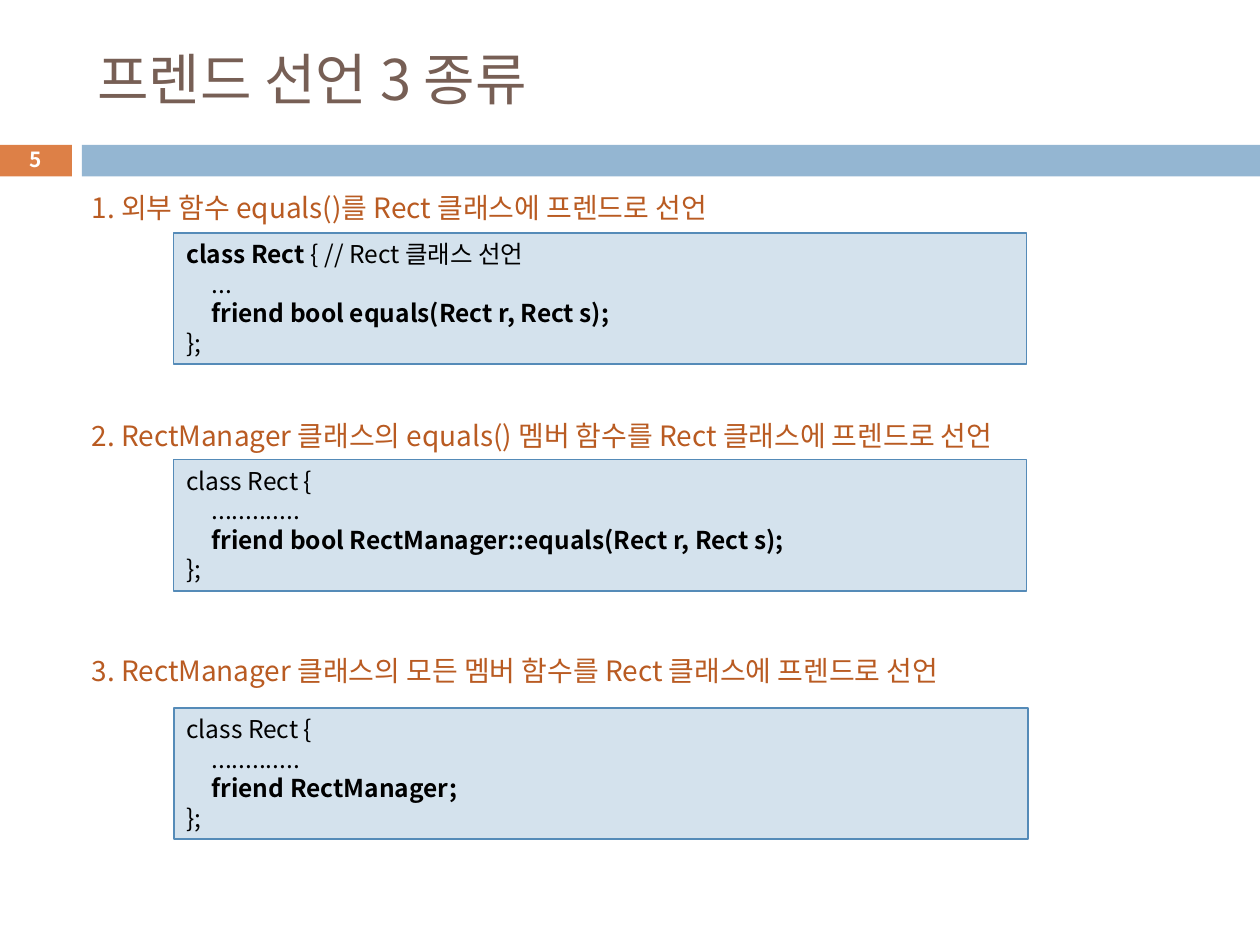
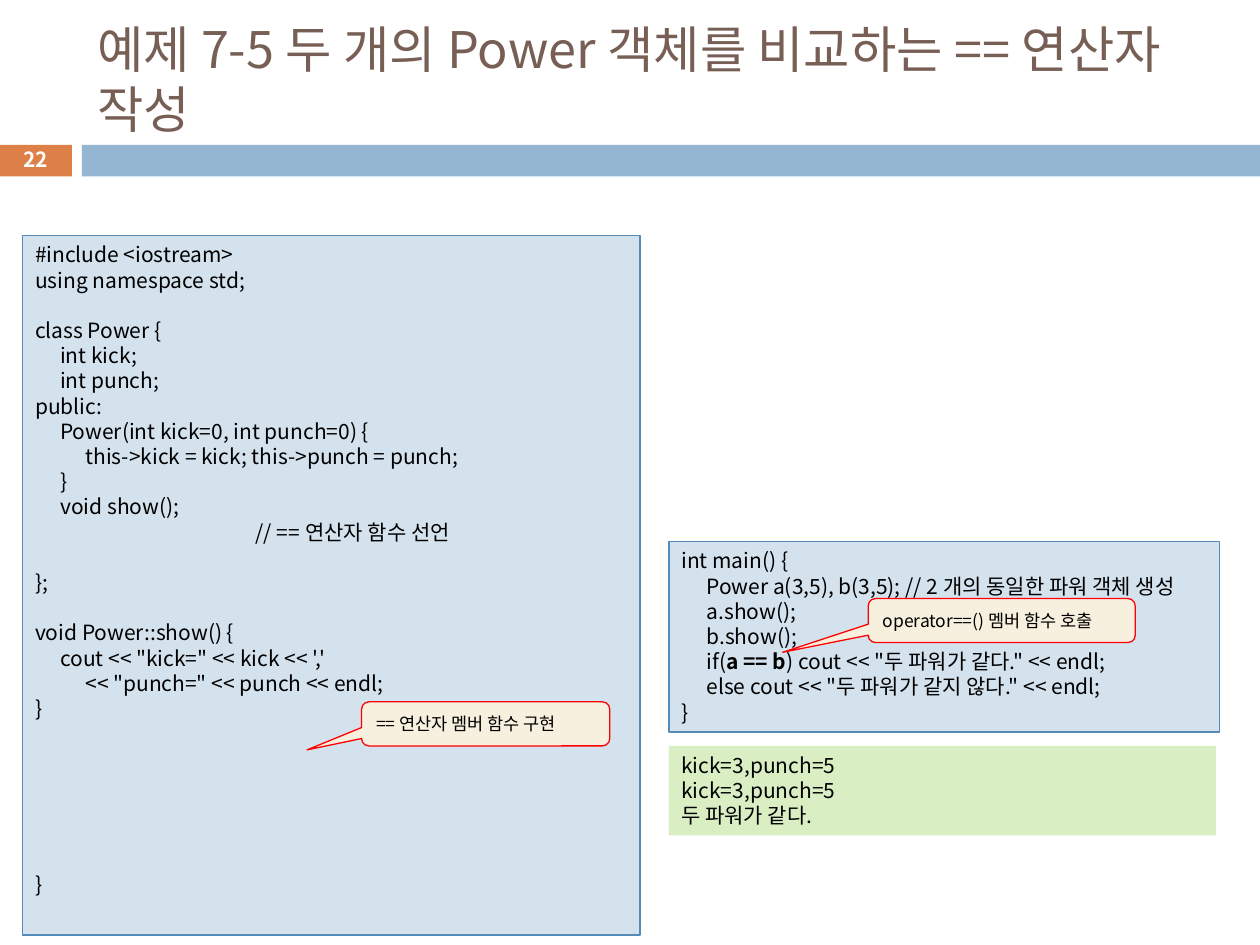
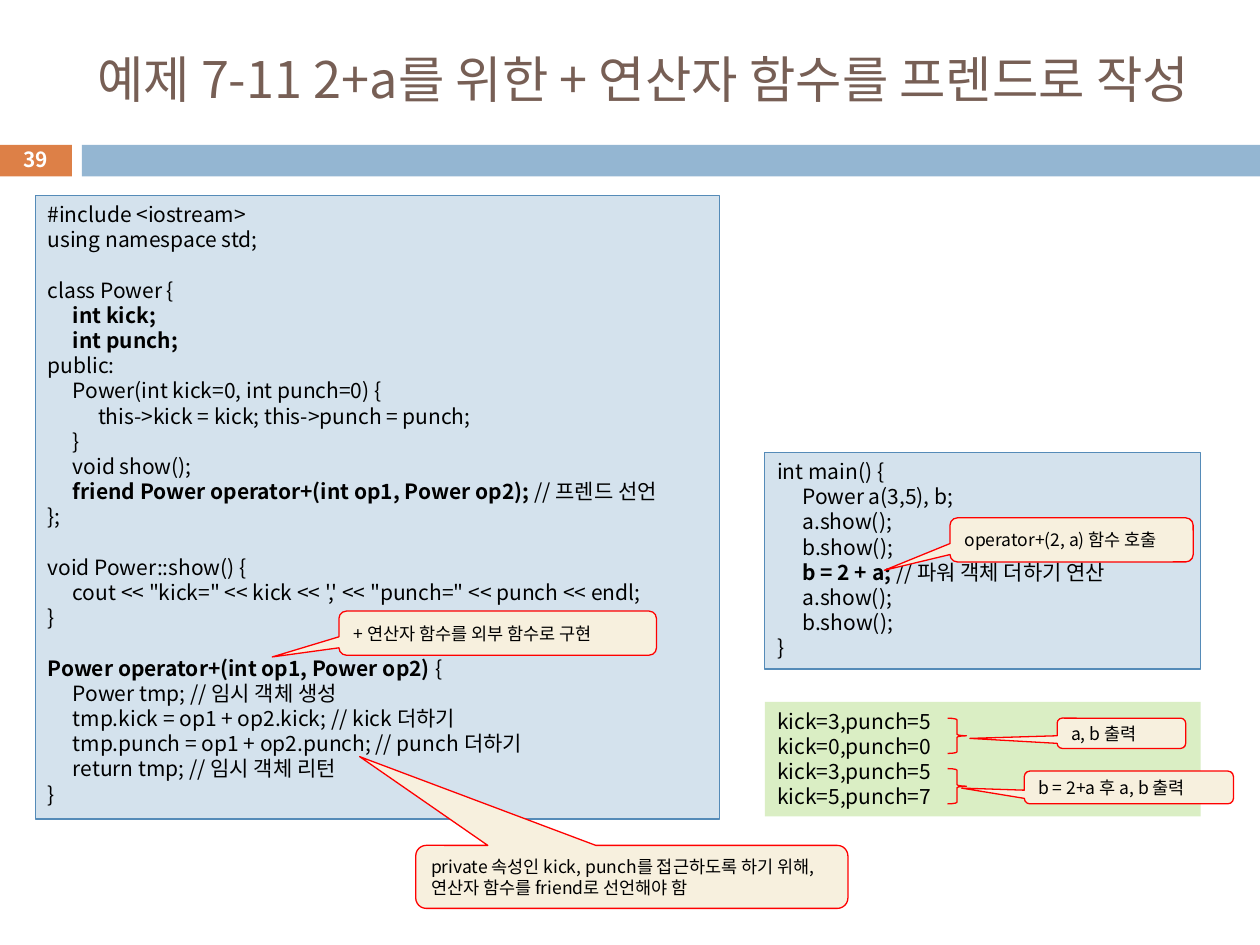
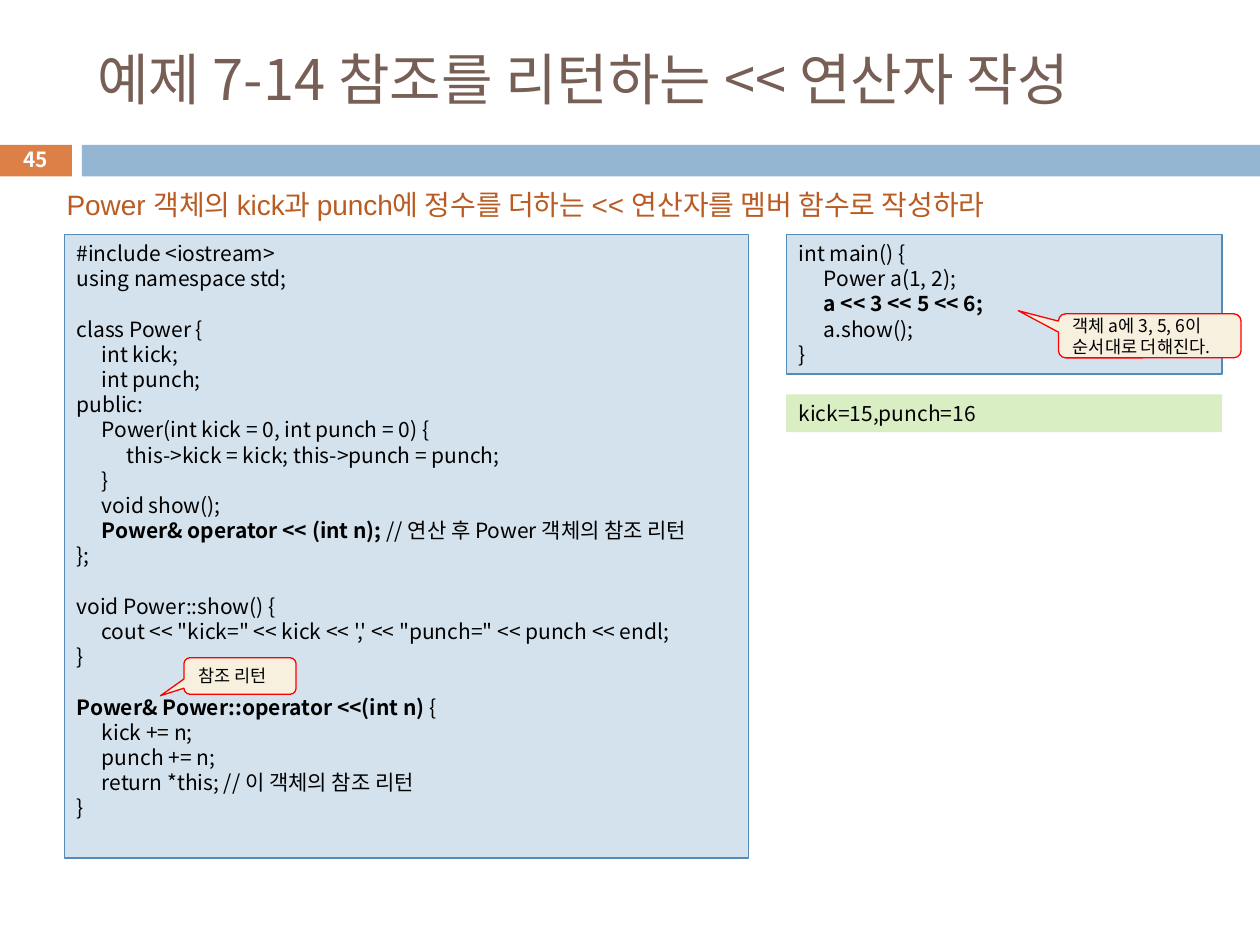
from lxml import etree
from pptx import Presentation
from pptx.dml.color import RGBColor
from pptx.enum.shapes import MSO_SHAPE
from pptx.enum.text import MSO_ANCHOR, MSO_AUTO_SIZE, PP_ALIGN
from pptx.oxml.ns import qn
from pptx.util import Inches, Pt

RECT, CALLOUT, BRACE = MSO_SHAPE.RECTANGLE, MSO_SHAPE.ROUNDED_RECTANGULAR_CALLOUT, MSO_SHAPE.RIGHT_BRACE
TOP, MIDDLE = MSO_ANCHOR.TOP, MSO_ANCHOR.MIDDLE
LEFT, CENTER = PP_ALIGN.LEFT, PP_ALIGN.CENTER

FONT = "Noto Sans CJK KR"
LINE_HEIGHT = 1.2
TAB = 0.2
TITLE_ONLY = 5
COLORS = {
    "title": "775F55", "heading": "B95B22", "text": "000000", "white": "FFFFFF",
    "number_band": "DD8047", "title_band": "94B6D2",
    "code": "D4E2ED", "code_line": "558BB8", "output": "DAEEC4",
    "callout": "F7F0DE", "red": "FF0000",
}
TITLE_AREA = (0.67, 0.25, 8.92, 0.74)
NUMBER_AREA = (-0.01, 1.13, 0.58, 0.27)
BANDS = [("number_band", (-0.01, 1.15, 0.58, 0.25)), ("title_band", (0.65, 1.15, 9.35, 0.25))]


def rect_code(friend, first="class Rect {", dots="............."):
    return f"{first}\n\t{dots}\n\t**{friend}**\n}};"


def power_code(declaration, show, operator, fields=("int kick;", "int punch;"), zero="=0"):
    """Listing of class Power; ** marks bold, a tab is one indent level."""
    kick, punch = fields
    return f"""#include <iostream>
using namespace std;

class Power {{
\t{kick}
\t{punch}
public:
\tPower(int kick{zero}, int punch{zero}) {{
\t\tthis->kick = kick; this->punch = punch;
\t}}
\tvoid show();
{declaration}
}};

void Power::show() {{
\tcout << "kick=" << kick << ','{show}<< "punch=" << punch << endl;
}}
{operator}"""


COMPARE_CODE = power_code(
    " " * 47 + "// == 연산자 함수 선언\n", "\n\t\t", "\n" * 6 + "}")

COMPARE_MAIN = """int main() {
\tPower a(3,5), b(3,5); // 2 개의 동일한 파워 객체 생성
\ta.show();
\tb.show();
\tif(**a == b**) cout << "두 파워가 같다." << endl;
\telse cout << "두 파워가 같지 않다." << endl;
}"""

ADD_CODE = power_code(
    "\t**friend Power operator+(int op1, Power op2); **// 프렌드 선언", " ", """
**Power operator+(int op1, Power op2) **{
\tPower tmp; // 임시 객체 생성
\ttmp.kick = op1 + op2.kick; // kick 더하기
\ttmp.punch = op1 + op2.punch; // punch 더하기
\treturn tmp; // 임시 객체 리턴
}""", fields=("**int kick;**", "**int punch;**"))

ADD_MAIN = """int main() {
\tPower a(3,5), b;
\ta.show();
\tb.show();
\t**b = 2 + a; **// 파워 객체 더하기 연산
\ta.show();
\tb.show();
}"""

SHIFT_CODE = power_code(
    "\t**Power& operator << (int n); **// 연산 후 Power 객체의 참조 리턴", " ", """
**Power& Power::operator <<(int n) **{
\tkick += n;
\tpunch += n;
\treturn *this; // 이 객체의 참조 리턴
}""", zero=" = 0")

SHIFT_MAIN = """int main() {
\tPower a(1, 2);
\t**a << 3 << 5 << 6;**
\ta.show();
}"""

# Areas are left, top, width, height; a callout adds the offset of its tip
# from its centre, as shares of its width and height.
SLIDES = [
    {
        "title": "프렌드 선언 3 종류", "number": 5, "code_size": 14,
        "headings": [
            ("1. 외부 함수 equals()를 Rect 클래스에 프렌드로 선언", (0.63, 1.46, 5.52, 0.37), FONT),
            ("2. RectManager 클래스의 equals() 멤버 함수를 Rect 클래스에 프렌드로 선언",
             (0.63, 3.27, 7.92, 0.37), FONT),
            ("3. RectManager 클래스의 모든 멤버 함수를 Rect 클래스에 프렌드로 선언",
             (0.63, 5.14, 7.57, 0.37), FONT),
        ],
        "code": [
            (rect_code("friend bool equals(Rect r, Rect s);",
                       "**class Rect **{ // Rect 클래스 선언", "..."), (1.38, 1.85, 6.77, 1.04)),
            (rect_code("friend bool RectManager::equals(Rect r, Rect s);"), (1.38, 3.65, 6.77, 1.04)),
            (rect_code("friend RectManager;"), (1.38, 5.62, 6.78, 1.04)),
        ],
    },
    {
        "title": "예제 7-5 두 개의 Power 객체를 비교하는 == 연산자 작성", "number": 22, "title_size": 28.8,
        "code": [(COMPARE_CODE, (0.18, 1.87, 4.9, 5.55)), (COMPARE_MAIN, (5.31, 4.3, 4.37, 1.51))],
        "output": [("kick=3,punch=5\nkick=3,punch=5\n두 파워가 같다.", (5.31, 5.92, 4.34, 0.71))],
        "callouts": [
            ("== 연산자 멤버 함수 구현", (2.87, 5.57, 1.97, 0.35), (-0.72, 0.59)),
            ("operator==() 멤버 함수 호출", (6.89, 4.75, 2.12, 0.35), (-0.82, 0.72)),
        ],
    },
    {
        "title": "예제 7-11 2+a를 위한 + 연산자 함수를 프렌드로 작성", "number": 39, "title_size": 28.8,
        "code": [(ADD_CODE, (0.28, 1.55, 5.43, 4.95)), (ADD_MAIN, (6.07, 3.59, 3.46, 1.72))],
        "output": [("kick=3,punch=5\nkick=0,punch=0\nkick=3,punch=5\nkick=5,punch=7",
                    (6.07, 5.57, 3.46, 0.91))],
        "callouts": [
            ("+ 연산자 함수를 외부 함수로 구현", (2.69, 4.85, 2.52, 0.35), (-0.71, 0.54)),
            ("private 속성인 kick, punch를 접근하도록 하기 위해, 연산자 함수를 friend로 선언해야 함",
             (3.3, 6.71, 3.43, 0.5), (-0.63, -1.91)),
            ("a, b 출력", (8.39, 5.7, 1.02, 0.24), (-1.18, 0.17)),
            ("b = 2+a 후 a, b 출력", (8.13, 6.12, 1.66, 0.26), (-0.8, 0.02)),
            ("operator+(2, a) 함수 호출", (7.54, 4.11, 1.93, 0.35), (-0.77, 0.69)),
        ],
        "braces": [(7.52, 5.7, 0.15, 0.28), (7.52, 6.1, 0.15, 0.28)],
    },
    {
        "title": "예제 7-14 참조를 리턴하는 << 연산자 작성", "number": 45,
        "headings": [("Power 객체의 kick과 punch에 정수를 더하는 << 연산자를 멤버 함수로 작성하라",
                      (0.43, 1.44, 8.9, 0.37), "Arial")],
        "code": [(SHIFT_CODE, (0.51, 1.86, 5.43, 4.95)), (SHIFT_MAIN, (6.24, 1.86, 3.46, 1.11))],
        "output": [("kick=15,punch=16", (6.24, 3.13, 3.46, 0.3))],
        "callouts": [
            ("참조 리턴", (1.46, 5.22, 0.89, 0.29), (-0.71, 0.54)),
            ("객체 a에 3, 5, 6이\n순서대로 더해진다.", (8.4, 2.49, 1.45, 0.35), (-0.72, -0.57)),
        ],
    },
]


def rgb(name):
    return RGBColor.from_string(COLORS[name])


def inches(area):
    return [Inches(length) for length in area]


def add_tab_stops(para, count=2):
    stops = etree.SubElement(para._p.get_or_add_pPr(), qn("a:tabLst"))
    for level in range(1, count + 1):
        etree.SubElement(stops, qn("a:tab"), pos=str(Inches(TAB * level)), algn="l")


def write(box, text, size, color="text", font=FONT, anchor=TOP, align=LEFT, bold=None):
    """Fill a box line by line; an empty line becomes space before the next."""
    frame = box.text_frame
    frame.word_wrap = True
    frame.auto_size = MSO_AUTO_SIZE.NONE
    frame.vertical_anchor = anchor
    line_height = Pt(size * LINE_HEIGHT)
    para, empty_lines = frame.paragraphs[0], 0
    for index, line in enumerate(text.split("\n")):
        if not line:
            empty_lines += 1
            continue
        if index:
            para = frame.add_paragraph()
        para.alignment = align
        para.line_spacing = line_height
        para.space_before = line_height * empty_lines
        empty_lines = 0
        if "\t" in line:
            add_tab_stops(para)
        para.font.size = Pt(size)
        para.font.bold = bold
        para.font.name = font
        para.font.color.rgb = rgb(color)
        defaults = para._p.pPr.find(qn("a:defRPr"))
        etree.SubElement(defaults, qn("a:ea"), typeface=FONT)
        for part, words in enumerate(line.split("**")):
            if words:
                span = para.add_run()
                span.text = words
                if part % 2:
                    span.font.bold = True


def add_shape(page, kind, area, fill=None, line=None):
    shape = page.shapes.add_shape(kind, *inches(area))
    shape.shadow.inherit = False
    if fill:
        shape.fill.solid()
        shape.fill.fore_color.rgb = rgb(fill)
    else:
        shape.fill.background()
    if line:
        shape.line.color.rgb = rgb(line)
        shape.line.width = Pt(0.75)
    else:
        shape.line.fill.background()
    return shape


def move_bands_to_layout(page):
    """Draw the bands on a page, then hand them to its layout for all pages."""
    tree = page.slide_layout.shapes.element
    for index, (fill, area) in enumerate(BANDS):
        band = add_shape(page, RECT, area, fill).element
        band.nvSpPr.cNvPr.set("id", str(100 + index))
        tree.insert(2 + index, band)


def add_page(deck, content):
    page = deck.slides.add_slide(deck.slide_layouts[TITLE_ONLY])
    title = page.shapes.title
    title.left, title.top, title.width, title.height = inches(TITLE_AREA)
    write(title, content["title"], content.get("title_size", 32), "title", anchor=MIDDLE)
    number = page.shapes.add_textbox(*inches(NUMBER_AREA))
    write(number, str(content["number"]), 11.9, "white", anchor=MIDDLE, align=CENTER, bold=True)

    code_size = content.get("code_size", 12)
    for text, area in content["code"]:
        write(add_shape(page, RECT, area, "code", "code_line"), text, code_size)
    for text, area, font in content.get("headings", []):
        write(page.shapes.add_textbox(*inches(area)), text, 16, "heading", font)
    for text, area in content.get("output", []):
        write(add_shape(page, RECT, area, "output"), text, 12)
    for text, area, tip in content.get("callouts", []):
        callout = add_shape(page, CALLOUT, area, "callout", "red")
        callout.adjustments[0], callout.adjustments[1] = tip
        write(callout, text, 10, anchor=MIDDLE)
    for area in content.get("braces", []):
        add_shape(page, BRACE, area, line="red")
    return page


def main():
    deck = Presentation()
    deck.slide_width, deck.slide_height = Inches(10), Inches(7.5)
    pages = [add_page(deck, content) for content in SLIDES]
    move_bands_to_layout(pages[0])
    deck.save("out.pptx")


if __name__ == "__main__":
    main()
